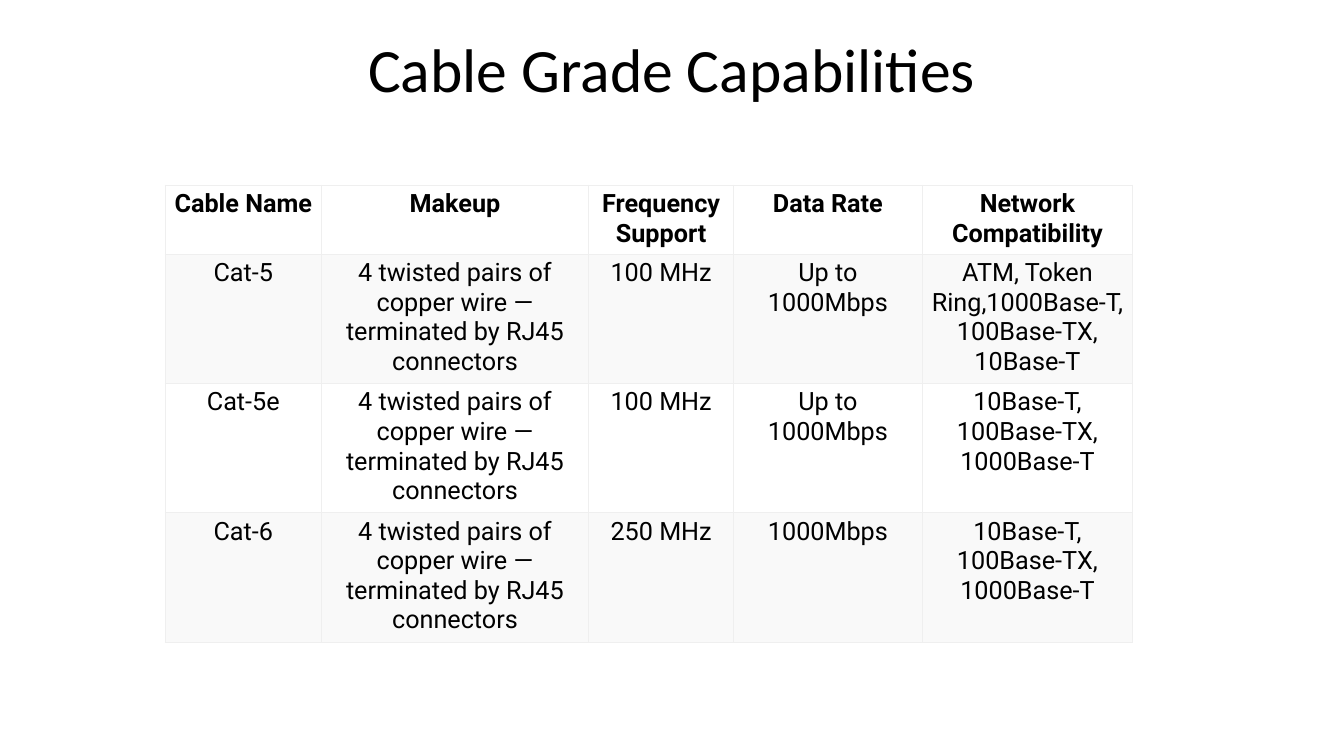
from pptx import Presentation
from pptx import util as u
from pptx.dml import color
from pptx.enum import text
from pptx.oxml import parse_xml
from pptx.oxml import ns

Pt = u.Pt
HUES = {"ink": "000000", "plain": "FFFFFF", "band": "F9F9F9", "rule": "EFEFEF"}
WIDTHS = [111.6, 190.8, 103.7, 134.6, 150.5]
HEIGHTS = [47.8, 90.5, 90.5, 90.5]
PAIRS = "4 twisted pairs of copper wire — terminated by RJ45 connectors"
BASE = "10Base-T, 100Base-TX, 1000Base-T"
ROWS = [
    ["Cable Name", "Makeup", "Frequency Support", "Data Rate", "Network Compatibility"],
    ["Cat-5", PAIRS, "100 MHz", "Up to 1000Mbps",
     "ATM, Token Ring,1000Base-T, 100Base-TX, 10Base-T"],
    ["Cat-5e", PAIRS, "100 MHz", "Up to 1000Mbps", BASE],
    ["Cat-6", PAIRS, "250 MHz", "1000Mbps", BASE],
]


def hue(name):
    """Return the named colour."""
    return color.RGBColor.from_string(HUES[name])


def write(frame, words, size, face, bold=False):
    """Write one centred paragraph and return it."""
    frame.word_wrap = True
    par = frame.paragraphs[0]
    par.text = words
    par.alignment = text.PP_ALIGN.CENTER
    font = par.font
    font.size, font.name, font.bold = Pt(size), face, bold
    font.color.rgb = hue("ink")
    return par


def add_title(slide, words):
    """Add the slide title."""
    box = slide.shapes.add_textbox(Pt(66), Pt(9.4), Pt(828), Pt(85))
    box.text_frame.vertical_anchor = text.MSO_ANCHOR.MIDDLE
    write(box.text_frame, words, 44, "Calibri").line_spacing = 0.9


def add_rules(cell):
    """Draw thin rules on all four sides of a cell."""
    props = cell._tc.get_or_add_tcPr()
    for spot, side in enumerate(("lnL", "lnR", "lnT", "lnB")):
        props.insert(spot, parse_xml(
            f'<a:{side} {ns.nsdecls("a")} w="{Pt(0.75)}"><a:solidFill>'
            f'<a:srgbClr val="{HUES["rule"]}"/></a:solidFill></a:{side}>'))


def fill_cell(cell, words, row):
    """Fill and style one table cell."""
    cell.margin_left = cell.margin_right = Pt(3)
    cell.margin_top = cell.margin_bottom = Pt(3)
    cell.fill.solid()
    cell.fill.fore_color.rgb = hue("band" if row % 2 else "plain")
    write(cell.text_frame, words, 18, "Roboto", row == 0)
    add_rules(cell)


def add_grid(slide):
    """Add the table of cable grades."""
    grid = slide.shapes.add_table(
        len(ROWS), len(WIDTHS), Pt(118), Pt(132.3),
        Pt(sum(WIDTHS)), Pt(sum(HEIGHTS))).table
    for col, width in zip(grid.columns, WIDTHS):
        col.width = Pt(width)
    for row, (words, height) in enumerate(zip(ROWS, HEIGHTS)):
        grid.rows[row].height = Pt(height)
        for col, word in enumerate(words):
            fill_cell(grid.cell(row, col), word, row)


def main():
    """Build and save the slide."""
    deck = Presentation()
    deck.slide_width, deck.slide_height = Pt(960), Pt(540)
    slide = deck.slides.add_slide(deck.slide_layouts[6])
    add_title(slide, "Cable Grade Capabilities")
    add_grid(slide)
    deck.save("out.pptx")


if __name__ == "__main__":
    main()
